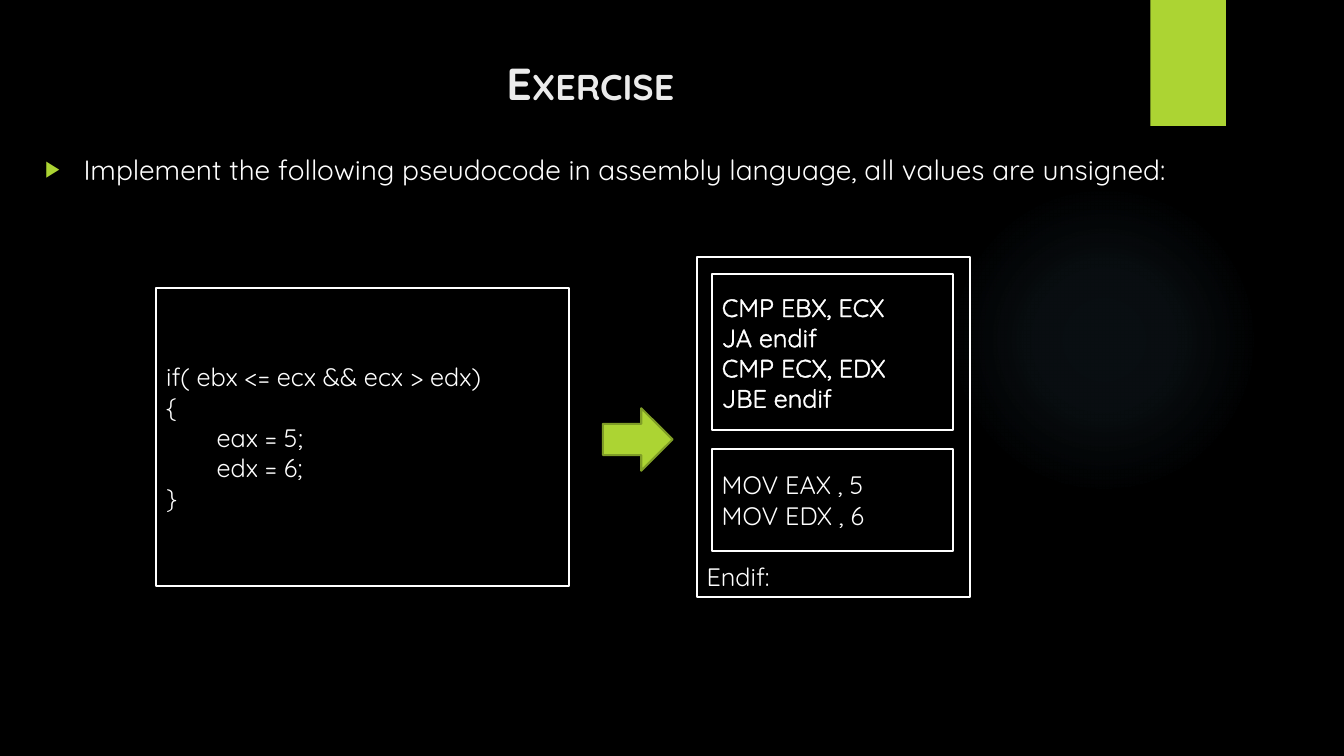
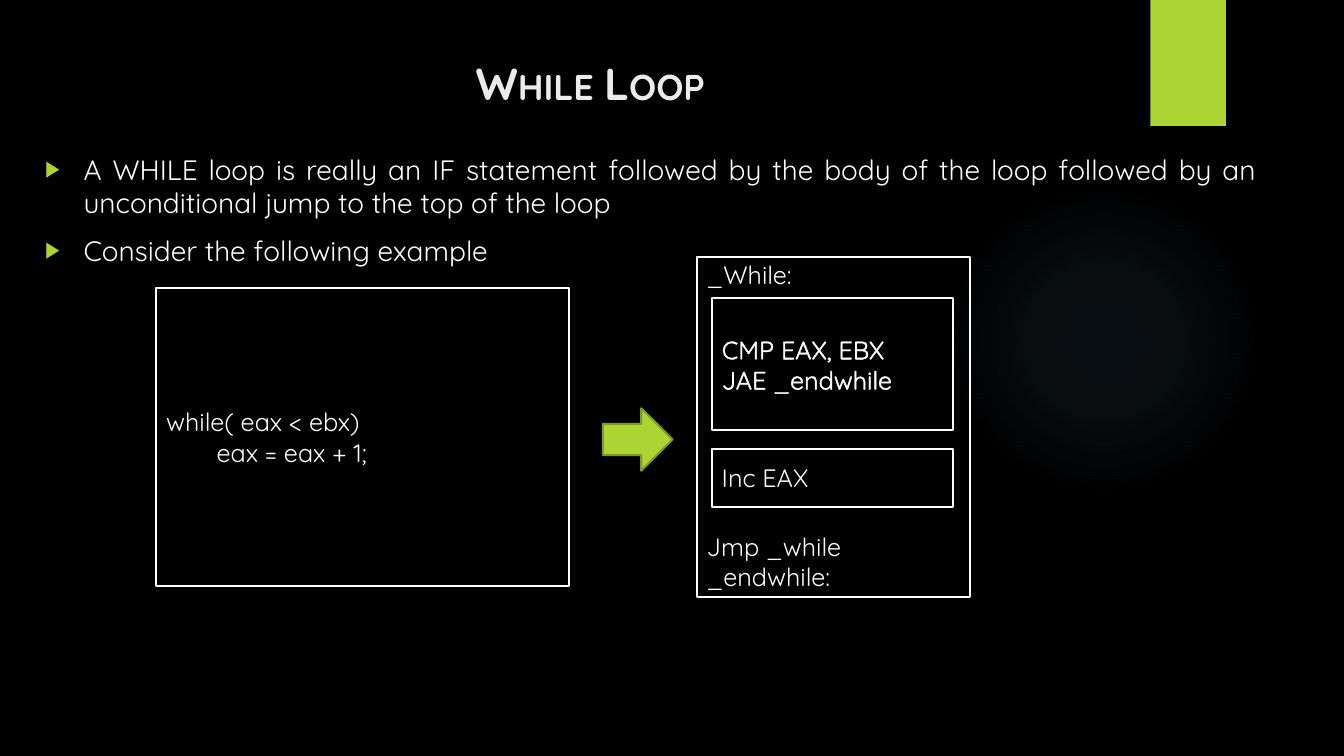
from dataclasses import dataclass
from typing import NamedTuple

from pptx import Presentation
from pptx import util as u
from pptx.dml.color import RGBColor
from pptx.enum import shapes, text
from pptx.oxml import parse_xml
from pptx.oxml.ns import nsdecls, qn

PX = 9144  # EMU in one px, 100 px to the inch


@dataclass(frozen=True)
class Theme:
    font: str = "Quicksand"
    background: str = "000000"
    title: str = "EBEBEB"
    ink: str = "FFFFFF"
    accent: str = "ACD433"
    accent_edge: str = "7F9D26"
    glow: str = "7AC4F0"
    title_size: int = 32
    body_size: int = 20
    code_size: int = 18
    edge: float = 1.5
    text_edge: float = 0.75


THEME = Theme()


class Box(NamedTuple):
    x: int
    y: int
    w: int
    h: int

    def inner(self, dx, dy, w, h):
        return Box(self.x + dx, self.y + dy, w, h)

    def emu(self):
        return [u.Emu(side * PX) for side in self]


PAGE = Box(0, 0, 1333, 750)
GLOW = Box(941, 183, 308, 308)
BAND = Box(1141, 0, 75, 125)
TITLE = Box(71, 50, 1029, 88)
BULLETS = Box(35, 146, 1221, 555)
EXAMPLE = Box(155, 255, 807, 337)

GLOW_STOPS = ((0, 7), (36, 6), (69, 0))  # position and opacity, in percent
CODE_INDENT = 50
BULLET_INDENT = 38

TITLE_FORMAT = {"size": u.Pt(THEME.title_size), "bold": True}
BODY_FORMAT = {"size": u.Pt(THEME.body_size)}
CODE_FORMAT = {"size": u.Pt(THEME.code_size)}


def rgb(value):
    return RGBColor.from_string(value)


def drawing(xml):
    """Make an element of a DrawingML fragment whose root has an attribute."""
    tag, rest = xml.split(" ", 1)
    return parse_xml(f"{tag} {nsdecls('a')} {rest}")


def apply(target, values):
    for name, value in values.items():
        setattr(target, name, value)


def add_outline(slide, kind, box, fill=None, line=None):
    shape = slide.shapes.add_shape(kind, *box.emu())
    shape.shadow.inherit = False
    if fill:
        shape.fill.solid()
        shape.fill.fore_color.rgb = rgb(fill)
    else:
        shape.fill.background()
    if line:
        shape.line.color.rgb = rgb(line)
        shape.line.width = u.Pt(THEME.edge)
    else:
        shape.line.fill.background()
    return shape


def write_lines(frame, lines, font, colour=THEME.ink, paragraph=None, anchor=text.MSO_ANCHOR.TOP):
    """Fill the frame with one paragraph a line and return the paragraphs."""
    apply(frame, {"word_wrap": True, "vertical_anchor": anchor})
    written = []
    for index, line in enumerate(lines):
        part = frame.add_paragraph() if index else frame.paragraphs[0]
        apply(part, {"alignment": text.PP_ALIGN.LEFT, **(paragraph or {})})
        run = part.add_run()
        run.text = line
        apply(run.font, {"name": THEME.font, **font})
        run.font.color.rgb = rgb(colour)
        written.append(part)
    return written


def draw_backdrop(slide):
    slide.background.fill.solid()
    slide.background.fill.fore_color.rgb = rgb(THEME.background)

    glow = add_outline(slide, shapes.MSO_SHAPE.OVAL, GLOW)
    stops = "".join(
        f'<a:gs pos="{position * 1000}"><a:srgbClr val="{THEME.glow}">'
        f'<a:alpha val="{opacity * 1000}"/></a:srgbClr></a:gs>'
        for position, opacity in GLOW_STOPS
    )
    gradient = drawing(
        f'<a:gradFill rotWithShape="1"><a:gsLst>{stops}</a:gsLst><a:path path="circle">'
        '<a:fillToRect l="50000" t="50000" r="50000" b="50000"/></a:path></a:gradFill>'
    )
    properties = glow._element.spPr
    properties.replace(properties.find(qn("a:noFill")), gradient)

    band = add_outline(slide, shapes.MSO_SHAPE.RECTANGLE, BAND, fill=THEME.accent)
    band._element.spPr.find(qn("a:effectLst")).append(drawing(
        f'<a:outerShdw blurRad="{u.Pt(3)}" dist="{u.Pt(2)}" dir="5400000">'
        f'<a:srgbClr val="{THEME.background}"><a:alpha val="45000"/></a:srgbClr></a:outerShdw>'
    ))


def draw_title(slide, box, title):
    frame = slide.shapes.add_textbox(*box.emu()).text_frame
    heading, = write_lines(frame, [title], TITLE_FORMAT, THEME.title,
                           {"alignment": text.PP_ALIGN.CENTER})
    heading.runs[0]._r.get_or_add_rPr().set("cap", "small")


def draw_bullets(slide, box, points):
    frame = slide.shapes.add_textbox(*box.emu()).text_frame
    style = {"alignment": text.PP_ALIGN.JUSTIFY, "space_before": u.Pt(10)}
    for point in write_lines(frame, points, BODY_FORMAT, paragraph=style):
        properties = point._p.get_or_add_pPr()
        properties.set("marL", str(BULLET_INDENT * PX))
        properties.set("indent", str(-BULLET_INDENT * PX))
        for mark in (
            f'<a:buClr ><a:srgbClr val="{THEME.accent}"/></a:buClr>',
            '<a:buSzPct val="80000"/>',
            '<a:buFont typeface="Arial"/>',
            '<a:buChar char="▶"/>',
        ):
            properties.append(drawing(mark))


def draw_code(slide, box, lines, anchor=text.MSO_ANCHOR.MIDDLE, outlined=False):
    """Frame code lines; a leading tab indents its line by one step."""
    frame = add_outline(slide, shapes.MSO_SHAPE.RECTANGLE, box, line=THEME.ink).text_frame
    written = write_lines(frame, [line.lstrip("\t") for line in lines], CODE_FORMAT, anchor=anchor)
    for line, part in zip(lines, written):
        if line.startswith("\t"):
            part._p.get_or_add_pPr().set("marL", str(CODE_INDENT * PX))
        if outlined:
            part.runs[0]._r.get_or_add_rPr().insert(0, drawing(
                f'<a:ln w="{u.Pt(THEME.text_edge)}"><a:solidFill>'
                f'<a:srgbClr val="{THEME.ink}"/></a:solidFill></a:ln>'
            ))
    return written


@dataclass(frozen=True)
class Assembly:
    labels: list
    test: list
    test_top: int
    body: list
    body_height: int
    label_gap: float = 0  # points between the first label and the rest


def draw_assembly(slide, box, assembly):
    margin, test_bottom, gap = 15, 172, 18
    width = box.w - 2 * margin - 2
    labels = draw_code(slide, box, assembly.labels, text.MSO_ANCHOR.BOTTOM)
    if assembly.label_gap:
        labels[1].space_before = u.Pt(assembly.label_gap)
    test = box.inner(margin, assembly.test_top, width, test_bottom - assembly.test_top)
    draw_code(slide, test, assembly.test, outlined=True)
    draw_code(slide, box.inner(margin, test_bottom + gap, width, assembly.body_height), assembly.body)


def draw_example(slide, box, pseudocode, assembly):
    draw_code(slide, box.inner(0, 31, 409, 295), pseudocode)
    add_outline(slide, shapes.MSO_SHAPE.RIGHT_ARROW, box.inner(443, 150, 69, 62),
                THEME.accent, THEME.accent_edge)
    draw_assembly(slide, box.inner(536, 0, 271, box.h), assembly)


def build_slide(deck, title, points, pseudocode, assembly):
    slide = deck.slides.add_slide(deck.slide_layouts[6])
    draw_backdrop(slide)
    draw_title(slide, TITLE, title)
    draw_bullets(slide, BULLETS, points)
    draw_example(slide, EXAMPLE, pseudocode, assembly)


LESSONS = [
    {
        "title": "Exercise",
        "points": ["Implement the following pseudocode in assembly language, all values are unsigned:"],
        "pseudocode": ["if( ebx <= ecx && ecx > edx)", "{", "\teax = 5;", "\tedx = 6;", "}"],
        "assembly": Assembly(
            labels=["Endif:"],
            test=["CMP EBX, ECX", "JA endif", "CMP ECX, EDX", "JBE endif"],
            test_top=17,
            body=["MOV EAX , 5", "MOV EDX , 6"],
            body_height=102,
        ),
    },
    {
        "title": "While Loop",
        "points": [
            "A WHILE loop is really an IF statement followed by the body of the loop "
            "followed by an unconditional jump to the top of the loop",
            "Consider the following example",
        ],
        "pseudocode": ["while( eax < ebx)", "\teax = eax + 1;"],
        "assembly": Assembly(
            labels=["_While:", "Jmp _while", "_endwhile:"],
            test=["CMP EAX, EBX", "JAE _endwhile"],
            test_top=41,
            body=["Inc EAX"],
            body_height=58,
            label_gap=173,
        ),
    },
]


def main():
    deck = Presentation()
    apply(deck, {"slide_width": u.Emu(PAGE.w * PX), "slide_height": u.Emu(PAGE.h * PX)})
    for lesson in LESSONS:
        build_slide(deck, **lesson)
    deck.save("out.pptx")


if __name__ == "__main__":
    main()
